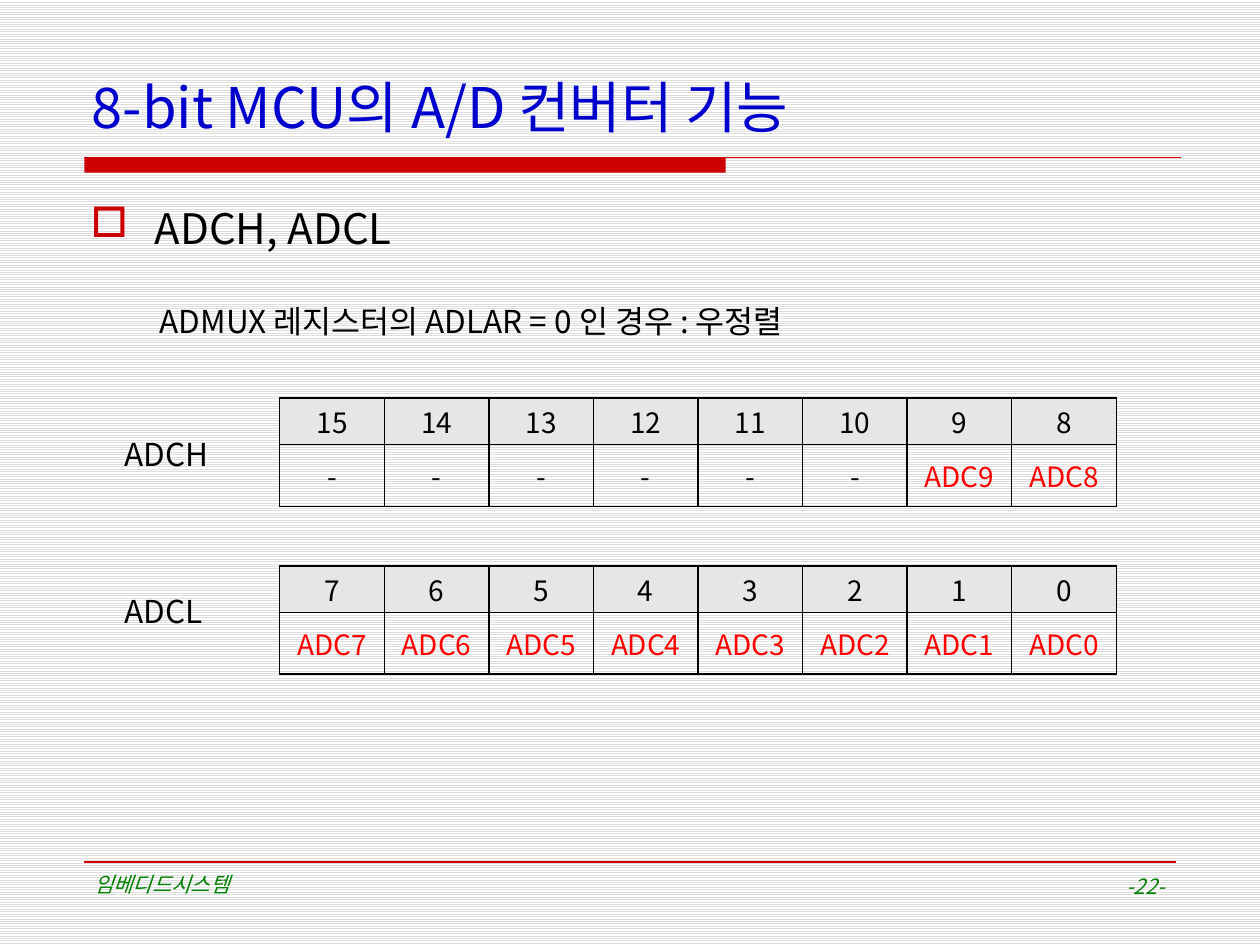
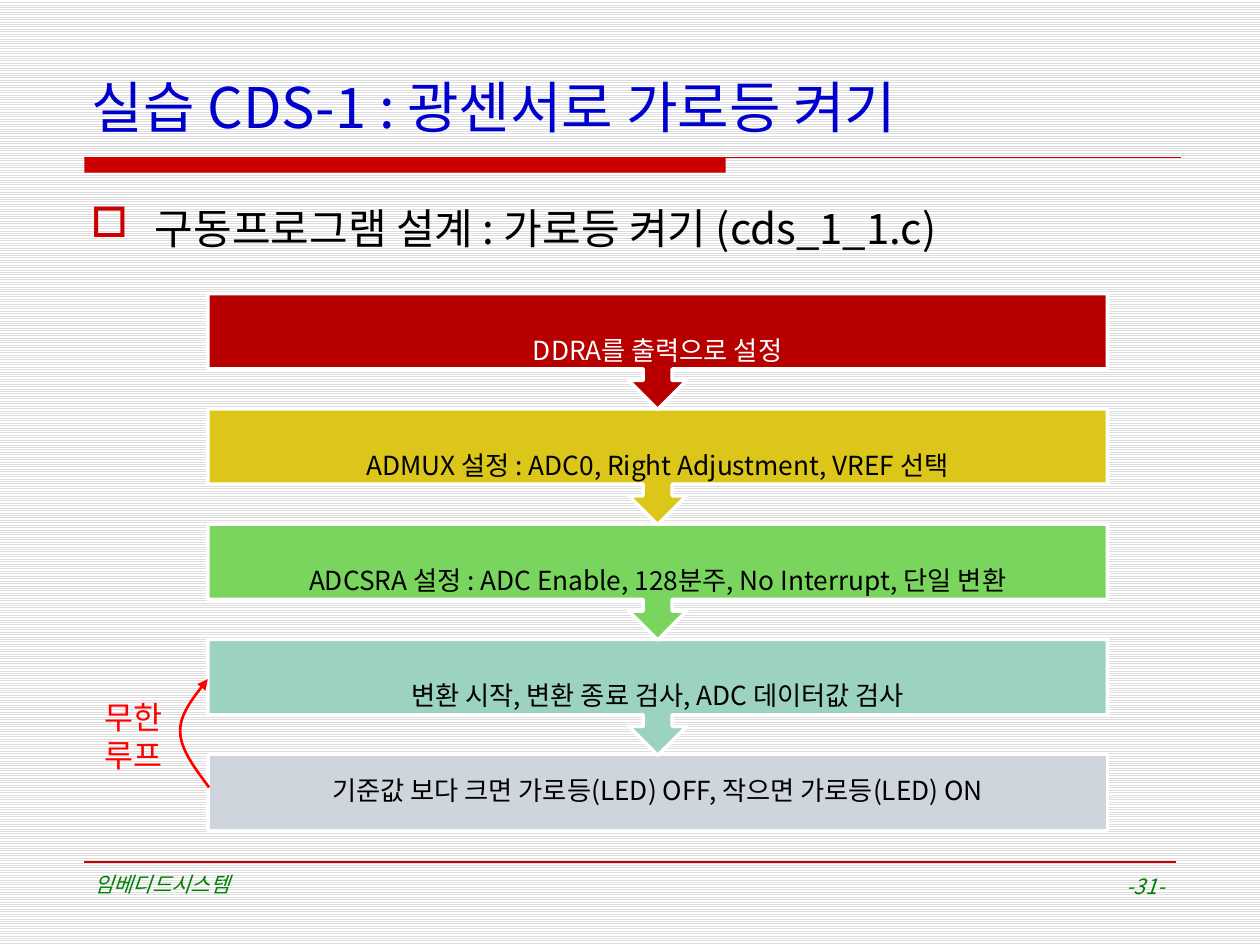
"""Build two slides on A/D conversion: result registers and a street light program."""
from dataclasses import dataclass

from lxml import etree
from pptx import Presentation
from pptx.dml.color import RGBColor
from pptx.enum.dml import MSO_PATTERN
from pptx.enum.shapes import MSO_CONNECTOR, MSO_SHAPE
from pptx.enum.text import MSO_ANCHOR, PP_ALIGN
from pptx.oxml.ns import qn
from pptx.util import Inches, Pt

LEFT, CENTER, RIGHT = PP_ALIGN.LEFT, PP_ALIGN.CENTER, PP_ALIGN.RIGHT
TOP, MIDDLE, BOTTOM = MSO_ANCHOR.TOP, MSO_ANCHOR.MIDDLE, MSO_ANCHOR.BOTTOM
RECTANGLE, DOWN_CALLOUT = MSO_SHAPE.RECTANGLE, MSO_SHAPE.DOWN_ARROW_CALLOUT
STRAIGHT = MSO_CONNECTOR.STRAIGHT
LIGHT_HORIZONTAL = MSO_PATTERN.LIGHT_HORIZONTAL


@dataclass(frozen=True)
class Theme:
    font: str = "Noto Sans CJK KR"
    title: str = "0000CC"
    accent: str = "CC0000"
    footer: str = "008000"
    alert: str = "FF0000"
    ink: str = "000000"
    paper: str = "FFFFFF"
    stripe: str = "DDDDDD"
    header: str = "E6E6E6"
    title_size: int = 32
    topic_size: int = 24
    label_size: int = 18
    cell_size: int = 16
    step_size: int = 15
    footer_size: int = 12


theme = Theme()
color = RGBColor.from_string

deck = Presentation()
deck.slide_width, deck.slide_height = Inches(10), Inches(7.5)
UNIT = deck.slide_width // 100


def add_run(paragraph, words, size, ink, italic=False):
    run = paragraph.add_run()
    run.text = words
    run.font.size, run.font.name, run.font.italic = Pt(size), theme.font, italic
    run.font.color.rgb = color(ink)
    etree.SubElement(run._r.get_or_add_rPr(), qn("a:ea"), typeface=theme.font)


def add_text(slide, box, lines, size, ink, align=LEFT, anchor=TOP, italic=False):
    frame = slide.shapes.add_textbox(*[round(n * UNIT) for n in box]).text_frame
    frame.word_wrap, frame.vertical_anchor = True, anchor
    for i, line in enumerate(lines):
        paragraph = frame.paragraphs[0] if i == 0 else frame.add_paragraph()
        paragraph.alignment = align
        add_run(paragraph, line, size, ink, italic)
    return frame


pages = [
    ("8-bit MCU의 A/D 컨버터 기능", "ADCH, ADCL", "-22-"),
    ("실습 CDS-1 : 광센서로 가로등 켜기", "구동프로그램 설계 : 가로등 켜기 (cds_1_1.c)", "-31-"),
]
slides = []
for title, topic, number in pages:
    slide = deck.slides.add_slide(deck.slide_layouts[6])
    slides.append(slide)
    backdrop = slide.background.fill
    backdrop.patterned()
    backdrop.pattern = LIGHT_HORIZONTAL
    backdrop.fore_color.rgb, backdrop.back_color.rgb = color(theme.stripe), color(theme.paper)

    band = slide.shapes.add_shape(
        RECTANGLE, *[round(n * UNIT) for n in (6.7, 12.5, 50.9, 1.2)])
    band.shadow.inherit = False
    band.fill.solid()
    band.fill.fore_color.rgb = color(theme.accent)
    band.line.fill.background()
    for end, level in ((93.7, 12.5), (93.3, 68.4)):
        rule = slide.shapes.add_connector(
            STRAIGHT, *[round(n * UNIT) for n in (6.7, level, end, level)])
        rule.line.color.rgb, rule.line.width = color(theme.accent), Pt(1)
        etree.SubElement(rule._element.spPr, qn("a:effectLst"))

    add_text(slide, (6.3, 5.3, 87.5, 6.3), [title], theme.title_size, theme.title, anchor=BOTTOM)
    body = add_text(slide, (6.2, 15.6, 87.5, 6), [topic], theme.topic_size, theme.ink)
    bullet = body.paragraphs[0]._p.get_or_add_pPr()
    bullet.set("marL", str(Inches(0.51)))
    bullet.set("indent", str(-Inches(0.51)))
    etree.SubElement(etree.SubElement(bullet, qn("a:buClr")), qn("a:srgbClr"), val=theme.accent)
    etree.SubElement(bullet, qn("a:buChar"), char="□")
    add_text(slide, (6.5, 68.7, 57.3, 4.8), ["임베디드시스템"], theme.footer_size,
             theme.footer, italic=True)
    add_text(slide, (71.7, 68.8, 21.7, 4.7), [number], theme.footer_size,
             theme.footer, RIGHT, italic=True)

register_slide, program_slide = slides

add_text(register_slide, (11.7, 23.5, 58.1, 4), ["ADMUX 레지스터의 ADLAR = 0 인 경우 : 우정렬"],
         theme.label_size, theme.ink)
registers = [
    ("ADCH", 34, 31.6, range(15, 7, -1)),
    ("ADCL", 46.5, 44.9, range(7, -1, -1)),
]
for register, label_top, grid_top, bits in registers:
    add_text(register_slide, (8.9, label_top, 8.9, 4), [register], theme.label_size, theme.ink)
    grid = register_slide.shapes.add_table(
        2, len(bits), *[round(n * UNIT) for n in (22.2, grid_top, 66.4, 8.6)]).table
    grid.first_row = grid.horz_banding = False
    grid.rows[0].height, grid.rows[1].height = round(3.7 * UNIT), round(4.9 * UNIT)
    for column, bit in enumerate(bits):
        flag = f"ADC{bit}" if bit < 10 else "-"
        flag_ink = theme.alert if bit < 10 else theme.ink
        for row, (words, ink) in enumerate(((str(bit), theme.ink), (flag, flag_ink))):
            cell = grid.cell(row, column)
            cell.margin_left = cell.margin_right = Inches(0.01)
            cell.margin_top = cell.margin_bottom = Inches(0.01)
            cell.vertical_anchor = MIDDLE
            for side in ("lnL", "lnR", "lnT", "lnB"):
                border = etree.SubElement(cell._tc.get_or_add_tcPr(), qn(f"a:{side}"), w=str(Pt(1)))
                paint = etree.SubElement(border, qn("a:solidFill"))
                etree.SubElement(paint, qn("a:srgbClr"), val=theme.ink)
            if row == 0:
                cell.fill.solid()
                cell.fill.fore_color.rgb = color(theme.header)
            else:
                cell.fill.background()
            paragraph = cell.text_frame.paragraphs[0]
            paragraph.alignment = CENTER
            paragraph.space_after = Pt(3)
            add_run(paragraph, words, theme.cell_size, ink)

steps = [
    ("DDRA를 출력으로 설정", "B90000", theme.paper),
    ("ADMUX 설정 : ADC0, Right Adjustment, VREF 선택", "DCC619", theme.ink),
    ("ADCSRA 설정 : ADC Enable, 128분주, No Interrupt, 단일 변환", "79D55D", theme.ink),
    ("변환 시작, 변환 종료 검사, ADC 데이터값 검사", "9CD3C0", theme.ink),
    ("기준값 보다 크면 가로등(LED) OFF, 작으면 가로등(LED) ON", "CED5DD", theme.ink),
]
for order, (words, tint, ink) in reversed(list(enumerate(steps))):
    last = order == len(steps) - 1
    box = (16.5, 23.3 + 9.15 * order, 71.4, 6 if last else 9.2)
    step = program_slide.shapes.add_shape(
        RECTANGLE if last else DOWN_CALLOUT, *[round(n * UNIT) for n in box])
    step.shadow.inherit = False
    step.fill.solid()
    step.fill.fore_color.rgb = color(tint)
    step.line.color.rgb, step.line.width = color(theme.paper), Pt(2)
    caption = add_text(program_slide, box, [words], theme.step_size, ink, CENTER, MIDDLE)
    caption.margin_left = caption.margin_right = Inches(0.12)
    caption.margin_top = caption.margin_bottom = Inches(0.12)
    caption.paragraphs[0].line_spacing = 0.9
    caption.paragraphs[0].space_after = Pt(5)

curves = [
    ((16.6, 62.5), (15.5, 61), (14.3, 59.5), (14.3, 58)),
    ((14.3, 58), (14.3, 56.6), (15.4, 55.3), (16.5, 53.9)),
]
PIECES = 10
bend = []
for curve in curves:
    for piece in range(1, PIECES + 1):
        t = piece / PIECES
        weights = ((1 - t) ** 3, 3 * t * (1 - t) ** 2, 3 * t ** 2 * (1 - t), t ** 3)
        bend.append([round(UNIT * sum(w * point[axis] for w, point in zip(weights, curve)))
                     for axis in (0, 1)])
pen = program_slide.shapes.build_freeform(*[round(n * UNIT) for n in curves[0][0]])
pen.add_line_segments(bend, close=False)
loop = pen.convert_to_shape()
loop.shadow.inherit = False
loop.fill.background()
loop.line.color.rgb, loop.line.width = color(theme.alert), Pt(1.5)
etree.SubElement(loop.line._get_or_add_ln(), qn("a:tailEnd"), type="triangle")
add_text(program_slide, (7.3, 54.9, 8.5, 7.1), ["무한", "루프"], theme.label_size, theme.alert)

deck.save("out.pptx")
